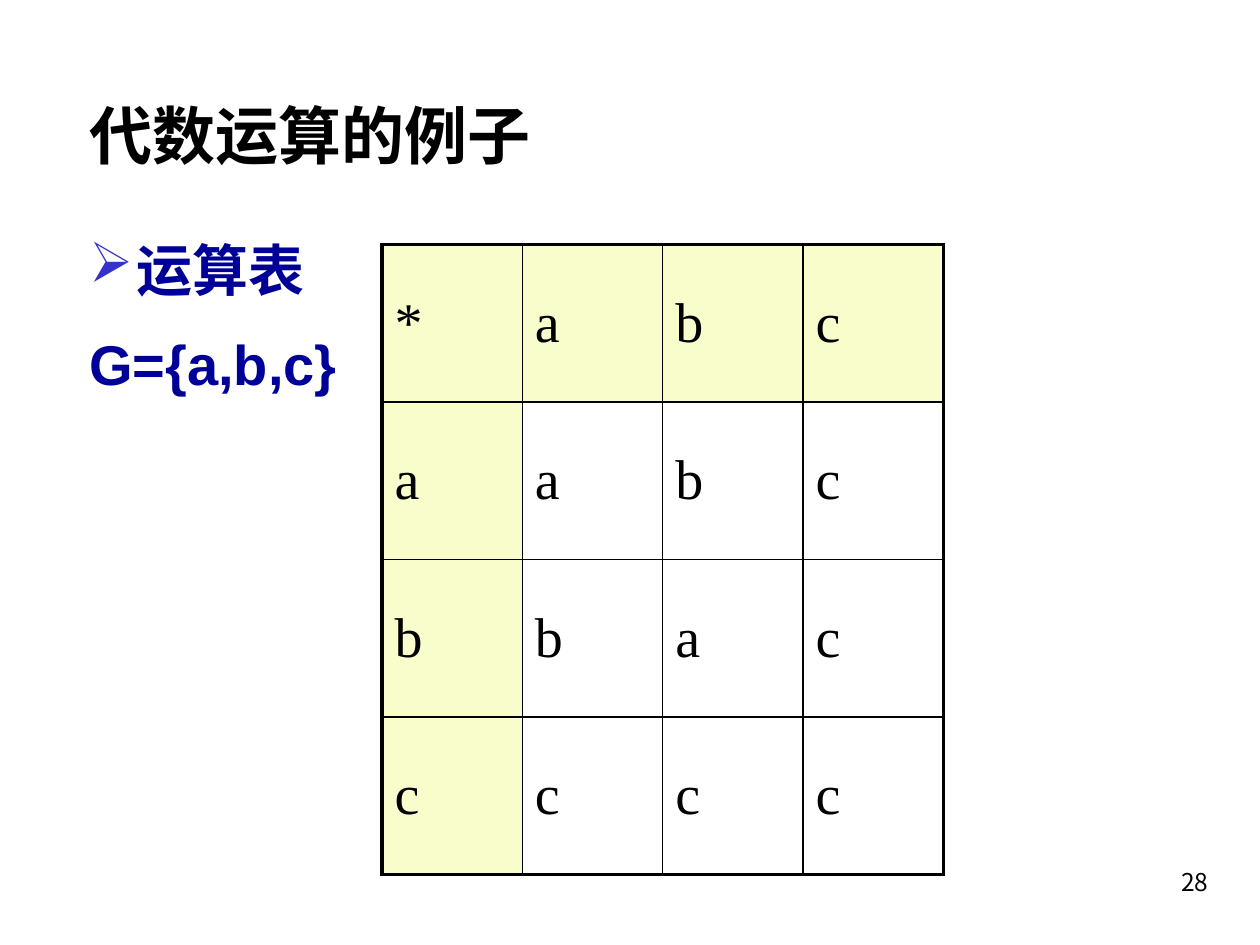
import dataclasses

import lxml.etree
import pptx
import pptx.dml.color
import pptx.enum.text
import pptx.oxml.ns
import pptx.util

Cm = pptx.util.Cm
Pt = pptx.util.Pt
RGB = pptx.dml.color.RGBColor
Align = pptx.enum.text.PP_ALIGN
Anchor = pptx.enum.text.MSO_ANCHOR
qn = pptx.oxml.ns.qn

BLACK = RGB(0x00, 0x00, 0x00)
NAVY = RGB(0x00, 0x00, 0x99)
BLUE = RGB(0x33, 0x33, 0xCC)
CREAM = RGB(0xF8, 0xFD, 0xCB)
THIN = Pt(1)
THICK = Pt(2.25)


@dataclasses.dataclass
class Box:
    left: float
    top: float
    width: float
    height: float

    def place(self) -> tuple:
        return Cm(self.left), Cm(self.top), Cm(self.width), Cm(self.height)


def add_node(parent, tag: str, **attrs):
    return lxml.etree.SubElement(parent, qn(tag), attrs)


def set_bullet(para, char: str, color, indent) -> None:
    props = para._p.get_or_add_pPr()
    props.set("marL", str(indent))
    props.set("indent", str(-indent))
    add_node(add_node(props, "a:buClr"), "a:srgbClr", val=str(color))
    add_node(props, "a:buChar", char=char)


def write(para, text: str, *, size: float, font: str = "Arial",
          color=BLACK, bold: bool = False, align=Align.LEFT,
          lead: float = 1.0, bullet: str = "") -> None:
    if bullet:
        set_bullet(para, bullet, BLUE, Cm(0.95))
    para.alignment = align
    para.line_spacing = lead
    run = para.add_run()
    run.text = text
    run.font.name = font
    run.font.size = Pt(size)
    run.font.bold = bold
    run.font.color.rgb = color


def add_box(slide, box: Box, anchor=Anchor.TOP):
    frame = slide.shapes.add_textbox(*box.place()).text_frame
    frame.word_wrap = True
    frame.vertical_anchor = anchor
    return frame


def set_edges(cell, **widths: int) -> None:
    props = cell._tc.get_or_add_tcPr()
    for side, width in widths.items():
        line = add_node(props, f"a:ln{side}", w=str(width))
        fill = add_node(line, "a:solidFill")
        add_node(fill, "a:srgbClr", val=str(BLACK))


def add_grid(slide, box: Box, rows: list[str]) -> None:
    last = len(rows) - 1
    table = slide.shapes.add_table(len(rows), len(rows), *box.place()).table
    table.first_row = False
    table.horz_banding = False
    for r, row in enumerate(rows):
        for c, text in enumerate(row):
            cell = table.cell(r, c)
            cell.vertical_anchor = Anchor.MIDDLE
            set_edges(cell,
                      L=THICK if c == 0 else THIN,
                      R=THICK if c == last else THIN,
                      T=THICK if r == 0 else THIN,
                      B=THICK if r == last else THIN)
            if r == 0 or c == 0:
                cell.fill.solid()
                cell.fill.fore_color.rgb = CREAM
            else:
                cell.fill.background()
            write(cell.text_frame.paragraphs[0], text, size=32,
                  font="Times New Roman")


def main() -> None:
    deck = pptx.Presentation()
    deck.slide_width = Cm(25.4)
    deck.slide_height = Cm(19.05)
    slide = deck.slides.add_slide(deck.slide_layouts[6])

    title = add_box(slide, Box(1.55, 1.47, 22.28, 2.46), Anchor.MIDDLE)
    write(title.paragraphs[0], "代数运算的例子", size=36, bold=True)

    body = add_box(slide, Box(1.55, 4.09, 11.3, 12.7))
    style = dict(size=32, color=NAVY, bold=True, lead=1.4)
    write(body.paragraphs[0], "运算表", bullet="➢", **style)
    write(body.add_paragraph(), "G={a,b,c}", **style)

    add_grid(slide, Box(7.7, 4.93, 11.32, 12.7),
             ["*abc", "aabc", "bbac", "cccc"])

    page = add_box(slide, Box(19.33, 17.35, 5.28, 1.27))
    write(page.paragraphs[0], "28", size=14, font="Noto Sans CJK KR",
          align=Align.RIGHT)

    deck.save("out.pptx")


if __name__ == "__main__":
    main()
